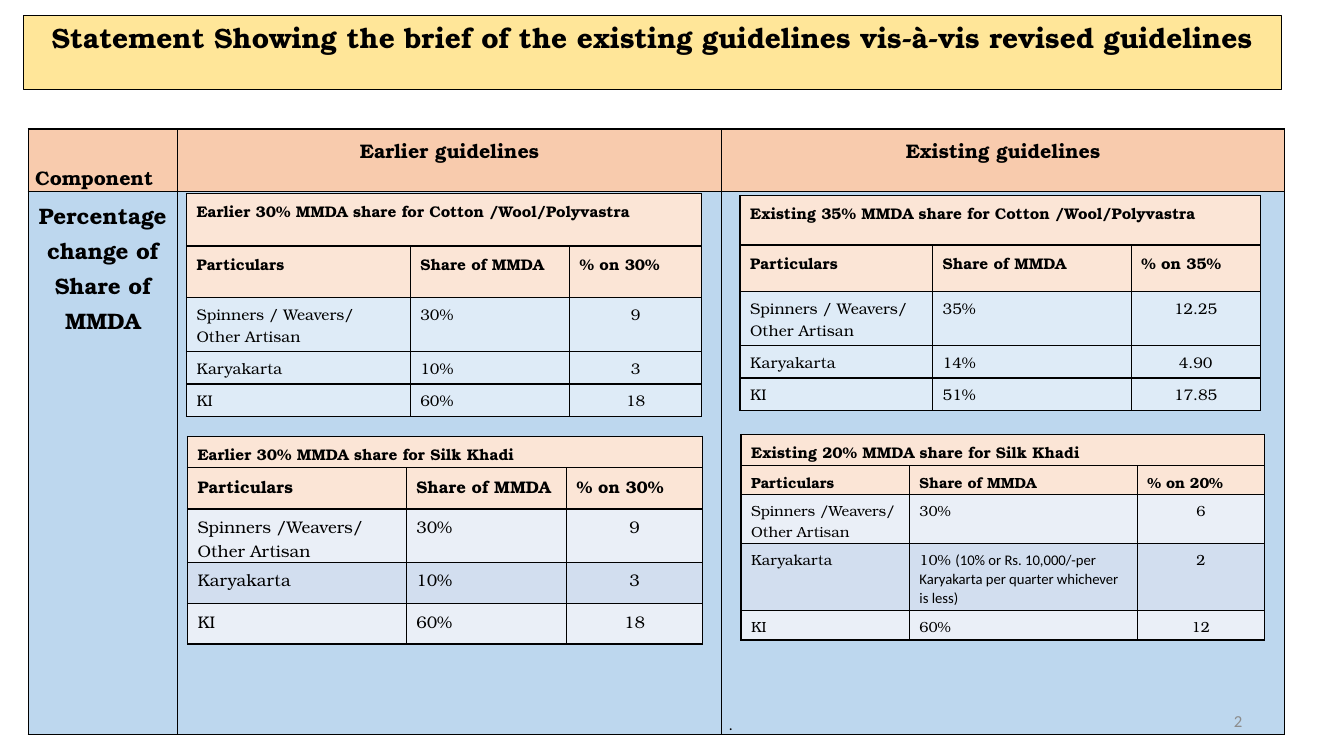
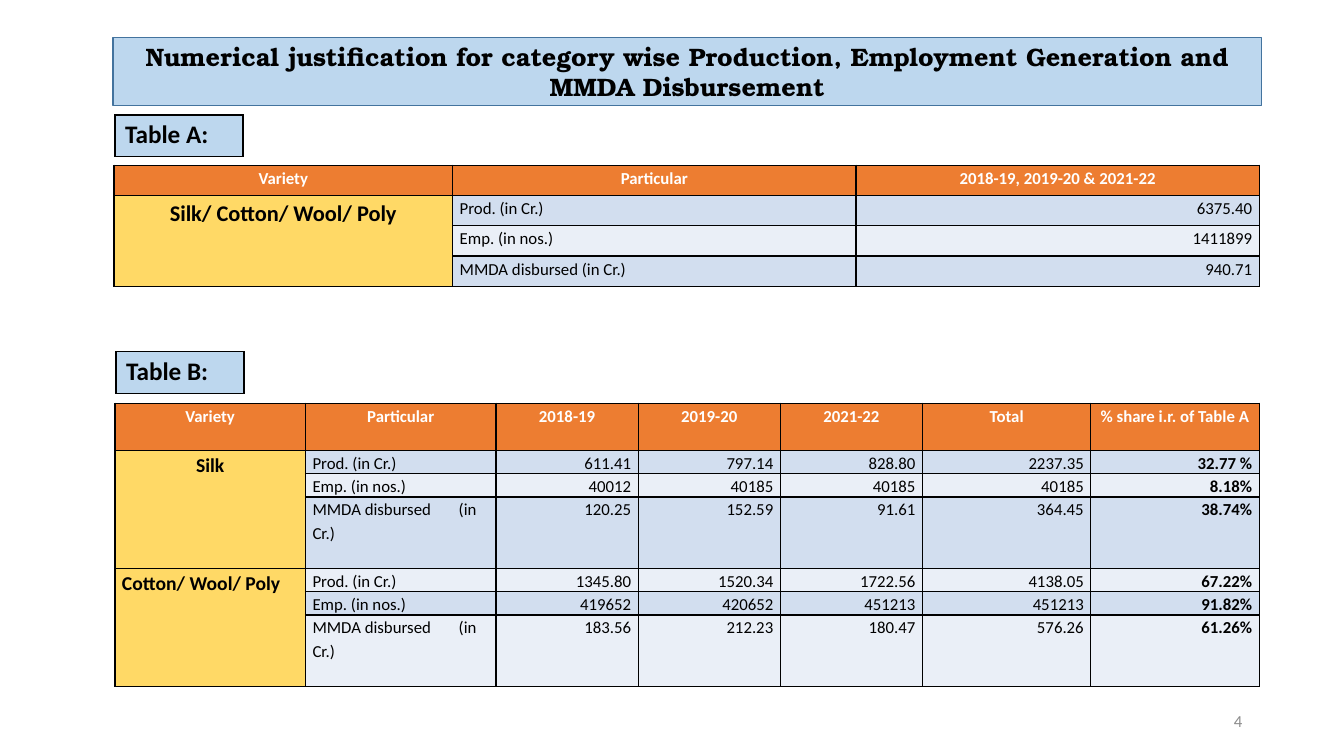
from dataclasses import dataclass, replace

from lxml.etree import SubElement
from pptx import Presentation
from pptx.dml.color import RGBColor
from pptx.enum.shapes import MSO_SHAPE
from pptx.enum.text import MSO_ANCHOR, PP_ALIGN
from pptx.oxml.ns import qn
from pptx.slide import Slide
from pptx.util import Inches, Pt

# Shared colours and fonts
BLACK = RGBColor(0x00, 0x00, 0x00)
WHITE = RGBColor(0xFF, 0xFF, 0xFF)
GREY = RGBColor(0x8C, 0x8C, 0x8C)
BLUE = RGBColor(0xBD, 0xD7, 0xEE)
BLUE_LINE = RGBColor(0x43, 0x73, 0x9E)
PALE_BLUE = RGBColor(0xDE, 0xEB, 0xF7)
BAND_DARK = RGBColor(0xD2, 0xDE, 0xEF)
BAND_LIGHT = RGBColor(0xEA, 0xEF, 0xF7)
PEACH = RGBColor(0xF8, 0xCB, 0xAD)
PALE_PEACH = RGBColor(0xFB, 0xE5, 0xD6)
ORANGE = RGBColor(0xED, 0x7D, 0x31)
GOLD = RGBColor(0xFF, 0xD9, 0x66)
CREAM = RGBColor(0xFF, 0xE6, 0x99)
SERIF = "TeX Gyre Bonum"
SANS = "Calibri"
LEFT, CENTER, RIGHT = PP_ALIGN.LEFT, PP_ALIGN.CENTER, PP_ALIGN.RIGHT
TOP, MIDDLE, BOTTOM = MSO_ANCHOR.TOP, MSO_ANCHOR.MIDDLE, MSO_ANCHOR.BOTTOM


@dataclass(frozen=True)
class Style:
    size: float
    bold: bool = False
    font: str = SERIF
    color: RGBColor = BLACK
    align: PP_ALIGN = LEFT
    anchor: MSO_ANCHOR = TOP


@dataclass(frozen=True)
class Cell:
    text: str
    style: Style
    fill: RGBColor
    note: str = ""
    row_span: int = 1
    column_span: int = 1
    tab: float = 0


@dataclass(frozen=True)
class Margins:
    """Cell margins in inches."""
    left: float = 0.1
    top: float = 0.05
    right: float = 0.1
    bottom: float = 0.05


@dataclass(frozen=True)
class Grid:
    """A table's place, column widths and row heights in inches."""
    left: float
    top: float
    columns: list[float]
    rows: list[float]
    margins: Margins = Margins()
    line_spacing: float = 1.0


@dataclass(frozen=True)
class Banner:
    text: str
    box: tuple[float, float, float, float]
    fill: RGBColor
    line: RGBColor
    line_width: float
    style: Style


def add_run(paragraph, text: str, style: Style) -> None:
    run = paragraph.add_run()
    run.text = text
    run.font.color.rgb = style.color
    formats = {"name": style.font, "size": Pt(style.size), "bold": style.bold}
    for name, value in formats.items():
        setattr(run.font, name, value)


def add_borders(cell) -> None:
    properties = cell._tc.get_or_add_tcPr()
    for side in ("a:lnL", "a:lnR", "a:lnT", "a:lnB"):
        line = SubElement(properties, qn(side), w=str(Pt(1)))
        fill = SubElement(line, qn("a:solidFill"))
        SubElement(fill, qn("a:srgbClr"), val=str(BLACK))


def add_tab_stop(paragraph, position: float) -> None:
    stops = SubElement(paragraph._p.get_or_add_pPr(), qn("a:tabLst"))
    SubElement(stops, qn("a:tab"), pos=str(Inches(position)), algn="l")


def fill_cell(cell, content: Cell, grid: Grid) -> None:
    style, margins = content.style, grid.margins
    formats = {
        "margin_left": Inches(margins.left), "margin_top": Inches(margins.top),
        "margin_right": Inches(margins.right), "margin_bottom": Inches(margins.bottom),
        "vertical_anchor": style.anchor,
    }
    for name, value in formats.items():
        setattr(cell, name, value)
    cell.fill.solid()
    cell.fill.fore_color.rgb = content.fill
    paragraph = cell.text_frame.paragraphs[0]
    paragraph.alignment = style.align
    paragraph.line_spacing = grid.line_spacing
    if content.tab:
        add_tab_stop(paragraph, content.tab)
    if content.text:
        add_run(paragraph, content.text, style)
    if content.note:
        add_run(paragraph, content.note, replace(style, font=SANS))


def draw_table(slide: Slide, grid: Grid, cells: list[list[Cell | None]]) -> None:
    """Draw a table; None marks a cell covered by a span."""
    frame = slide.shapes.add_table(
        len(grid.rows), len(grid.columns), Inches(grid.left), Inches(grid.top),
        Inches(sum(grid.columns)), Inches(sum(grid.rows)))
    table = frame.table
    table.first_row = table.horz_banding = False
    for column, width in zip(table.columns, grid.columns):
        column.width = Inches(width)
    for row, height in zip(table.rows, grid.rows):
        row.height = Inches(height)
    for row_index, row in enumerate(cells):
        for column_index, content in enumerate(row):
            cell = table.cell(row_index, column_index)
            add_borders(cell)
            if content is None:
                continue
            if content.row_span * content.column_span > 1:
                cell.merge(table.cell(row_index + content.row_span - 1,
                                      column_index + content.column_span - 1))
            fill_cell(cell, content, grid)


def write_text(shape, text: str, style: Style) -> None:
    frame = shape.text_frame
    frame.word_wrap = True
    frame.vertical_anchor = style.anchor
    paragraph = frame.paragraphs[0]
    paragraph.alignment = style.align
    add_run(paragraph, text, style)


def draw_banner(slide: Slide, banner: Banner) -> None:
    shape = slide.shapes.add_shape(MSO_SHAPE.RECTANGLE, *map(Inches, banner.box))
    shape.shadow.inherit = False
    shape.fill.solid()
    shape.fill.fore_color.rgb = banner.fill
    shape.line.color.rgb = banner.line
    shape.line.width = Pt(banner.line_width)
    write_text(shape, banner.text, banner.style)


def draw_page_number(slide: Slide, number: int) -> None:
    box = slide.shapes.add_textbox(*map(Inches, (9.42, 6.95, 3, 0.4)))
    write_text(box, str(number),
               Style(12, font=SANS, color=GREY, align=RIGHT, anchor=MIDDLE))


# Slide 1: guideline comparison
@dataclass(frozen=True)
class ShareTable:
    title: str
    percent: str
    artisans: str
    shares: tuple[str, str, str]
    results: tuple[str, str, str]
    size: float
    bands: tuple[RGBColor, RGBColor, RGBColor]
    grid: Grid
    note: str = ""


COTTON_BANDS = (PALE_BLUE,) * 3
SILK_BANDS = (BAND_LIGHT, BAND_DARK, BAND_LIGHT)
SILK_MARGINS = Margins(bottom=0)
SHARE_TABLES = [
    ShareTable("Earlier 30% MMDA share for Cotton /Wool/Polyvastra", "30%",
               "Spinners / Weavers/ Other Artisan", ("30%", "10%", "60%"),
               ("9", "3", "18"), 11, COTTON_BANDS,
               Grid(1.85, 1.92, [2.22, 1.58, 1.31], [0.52, 0.51, 0.54, 0.32, 0.32],
                    line_spacing=1.07)),
    ShareTable("Existing 35% MMDA share for Cotton /Wool/Polyvastra", "35%",
               "Spinners / Weavers/ Other Artisan", ("35%", "14%", "51%"),
               ("12.25", "4.90", "17.85"), 11, COTTON_BANDS,
               Grid(7.34, 1.94, [1.91, 1.97, 1.28], [0.49, 0.46, 0.54, 0.32, 0.32],
                    line_spacing=1.07)),
    ShareTable("Earlier 30% MMDA share for Silk Khadi", "30%",
               "Spinners /Weavers/ Other Artisan", ("30%", "10%", "60%"),
               ("9", "3", "18"), 12, SILK_BANDS,
               Grid(1.86, 4.33, [2.17, 1.59, 1.35], [0.31, 0.41, 0.53, 0.41, 0.4],
                    SILK_MARGINS, 1.07)),
    ShareTable("Existing 20% MMDA share for Silk Khadi", "20%",
               "Spinners /Weavers/ Other Artisan", ("30%", "10% ", "60%"),
               ("6", "2", "12"), 10.5, SILK_BANDS,
               Grid(7.35, 4.31, [1.67, 2.26, 1.26], [0.31, 0.29, 0.48, 0.67, 0.29],
                    SILK_MARGINS, 1.07),
               "(10% or Rs. 10,000/-per Karyakarta per quarter whichever is less)"),
]


def draw_share_table(slide: Slide, share: ShareTable) -> None:
    heading, body = Style(share.size, bold=True), Style(share.size)
    headings = ("Particulars", "Share of MMDA", f"% on {share.percent}")
    cells = [
        [Cell(share.title, Style(11, bold=True), PALE_PEACH, column_span=3), None, None],
        [Cell(text, heading, PALE_PEACH) for text in headings],
    ]
    names = (share.artisans, "Karyakarta", "KI")
    for name, part, result, fill in zip(names, share.shares, share.results, share.bands):
        note = share.note if name == "Karyakarta" else ""
        cells.append([Cell(name, body, fill), Cell(part, body, fill, note),
                      Cell(result, replace(body, align=CENTER), fill)])
    draw_table(slide, share.grid, cells)


def build_guidelines(slide: Slide) -> None:
    heading = Style(14, bold=True, align=CENTER)
    grid = Grid(0.28, 1.28, [1.48, 5.4, 5.58], [0.62, 5.39],
                Margins(0.07, 0.05, 0.07, 0), 1.07)
    draw_table(slide, grid, [
        [Cell("Component", replace(heading, align=LEFT, anchor=BOTTOM), PEACH),
         Cell("Earlier guidelines", heading, PEACH),
         Cell("Existing guidelines", heading, PEACH)],
        [Cell("Percentage change of Share of MMDA", replace(heading, size=16), BLUE),
         Cell("", heading, BLUE),
         Cell(".", Style(11, font=SANS, anchor=BOTTOM), BLUE)],
    ])
    for share in SHARE_TABLES:
        draw_share_table(slide, share)
    draw_banner(slide, Banner(
        "Statement Showing the brief of the existing guidelines vis-à-vis revised guidelines",
        (0.23, 0.15, 12.48, 0.74), CREAM, BLACK, 0.75, Style(20, bold=True, align=CENTER)))
    draw_page_number(slide, 2)


# Slide 2: production, employment and disbursement
HEADER = Style(12, True, SANS, WHITE, CENTER)
LABEL = Style(12, font=SANS)
FIGURE = replace(LABEL, align=RIGHT)
PARTICULARS = ("Prod. (in Cr.)", "Emp. (in nos.)", "MMDA disbursed (in Cr.)")
TIGHT = Margins(0.07, 0, 0.07, 0)
TOTALS = [("6375.40",), ("1411899",), ("940.71",)]
SILK = [
    ("611.41", "797.14", "828.80", "2237.35", "32.77 %"),
    ("40012", "40185", "40185", "40185", "8.18%"),
    ("120.25", "152.59", "91.61", "364.45", "38.74%"),
]
COTTON = [
    ("1345.80", "1520.34", "1722.56", "4138.05", "67.22%"),
    ("419652", "420652", "451213", "451213", "91.82%"),
    ("183.56", "212.23", "180.47", "576.26", "61.26%"),
]


def header_row(*texts: str) -> list[Cell]:
    return [Cell(text, HEADER, ORANGE) for text in texts]


def variety_rows(variety: Cell, figures: list[tuple[str, ...]], first_band: int,
                 tab: float = 0) -> list[list[Cell | None]]:
    """Rows of one variety; with a tab, the unit of the last row stands apart."""
    rows = []
    for index, (particular, values) in enumerate(zip(PARTICULARS, figures)):
        fill = (BAND_DARK, BAND_LIGHT)[(index + first_band) % 2]
        stop = tab if index == 2 else 0
        text = particular.replace(" (", "\t(") if stop else particular
        numbers = [Cell(value, replace(FIGURE, bold=len(values) > 1 and column == 4), fill)
                   for column, value in enumerate(values)]
        rows.append([None if index else variety, Cell(text, LABEL, fill, tab=stop), *numbers])
    return rows


def build_justification(slide: Slide) -> None:
    draw_page_number(slide, 4)
    name = Style(14, True, SANS, align=CENTER)
    draw_table(
        slide, Grid(1.13, 1.64, [3.36, 4, 4], [0.3] * 4, TIGHT, 1.15),
        [header_row("Variety", "Particular", "2018-19, 2019-20 & 2021-22")]
        + variety_rows(Cell("Silk/ Cotton/ Wool/ Poly", replace(name, size=16), GOLD,
                            row_span=3), TOTALS, 0))
    draw_table(
        slide, Grid(1.14, 4, [1.89] * 2 + [1.41] * 3 + [1.67] * 2,
                    [0.47] + [0.23, 0.23, 0.71] * 2, TIGHT, 1.15),
        [header_row("Variety", "Particular", "2018-19", "2019-20", "2021-22", "Total",
                    "% share i.r. of Table A")]
        + variety_rows(Cell("Silk", name, GOLD, row_span=3), SILK, 0, 1.45)
        + variety_rows(Cell("Cotton/ Wool/ Poly", replace(name, align=LEFT), GOLD,
                            row_span=3), COTTON, 1, 1.45))
    for text, left, top in (("Table A:", 1.14, 1.14), ("Table B:", 1.15, 3.49)):
        draw_table(slide, Grid(left, top, [1.27], [0.41]),
                   [[Cell(text, Style(18, True, SANS), BLUE)]])
    draw_banner(slide, Banner(
        "Numerical justification for category wise Production, Employment Generation "
        "and MMDA Disbursement", (1.12, 0.37, 11.39, 0.68), BLUE, BLUE_LINE, 1,
        Style(18, True, align=CENTER, anchor=MIDDLE)))


def main() -> None:
    presentation = Presentation()
    presentation.slide_width, presentation.slide_height = Inches(13.33), Inches(7.5)
    blank = presentation.slide_layouts[6]
    for build in (build_guidelines, build_justification):
        build(presentation.slides.add_slide(blank))
    presentation.save("out.pptx")


if __name__ == "__main__":
    main()
